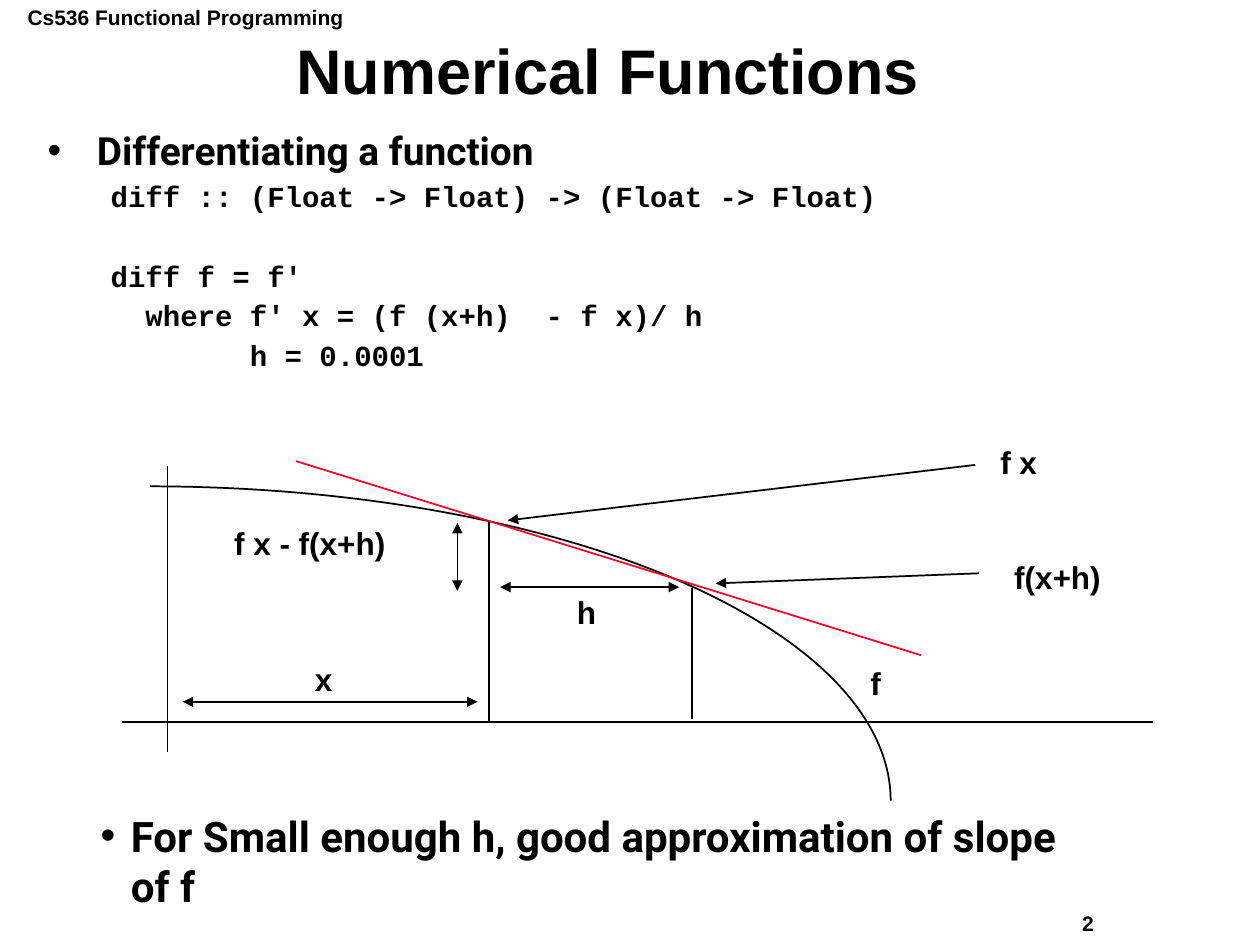
from dataclasses import dataclass
from typing import Optional

from lxml import etree
from pptx import Presentation
from pptx.dml.color import RGBColor
from pptx.enum import shapes, text
from pptx.oxml import ns
from pptx.util import Inches, Pt

BLACK = RGBColor(0x00, 0x00, 0x00)
RED = RGBColor(0xFC, 0x01, 0x28)

HEADING = {"name": "Arial", "size": Pt(36), "bold": True}
LABEL = {"name": "Arial", "size": Pt(18), "bold": True}
FOOTER = {"name": "Arial", "size": Pt(12), "bold": True}
TOPIC = {"name": "Roboto", "size": Pt(22.2), "bold": True}
CODE = {"name": "Courier New", "size": Pt(16.6), "bold": True}
REMARK = {"name": "Roboto", "size": Pt(24), "bold": True}

AXIS_Y = 5.73


@dataclass
class Label:
    words: str
    left: float
    top: float
    width: float
    height: float = 0.4
    style: Optional[dict] = None


@dataclass
class Line:
    x1: float
    y1: float
    x2: float
    y2: float
    heads: tuple = ()
    color: RGBColor = BLACK


BOTH = ("headEnd", "tailEnd")
START = ("headEnd",)

LINES = [
    Line(0.97, AXIS_Y, 9.15, AXIS_Y),
    Line(1.33, 3.7, 1.33, 5.97),
    Line(3.88, 4.14, 3.88, AXIS_Y),
    Line(5.49, 4.67, 5.49, 5.71),
    Line(3.97, 4.66, 5.39, 4.66, BOTH),
    Line(4.03, 4.13, 7.74, 3.69, START),
    Line(5.68, 4.63, 7.77, 4.55, START),
    Line(1.45, 5.57, 3.79, 5.57, BOTH),
    Line(2.35, 3.66, 7.31, 5.2, color=RED),
    Line(3.63, 4.15, 3.63, 4.69, BOTH),
]

LABELS = [
    Label("Cs536 Functional Programming", 0.12, -0.01, 2.71, 0.3, FOOTER),
    Label("2", 8.49, 7.18, 1, 0.3, FOOTER),
    Label("h", 4.48, 4.66, 0.35),
    Label("x", 2.4, 5.19, 0.34),
    Label("f", 6.81, 5.22, 0.28),
    Label("f x", 7.84, 3.47, 0.49),
    Label("f(x+h)", 7.95, 4.38, 0.89),
    Label("f x - f(x+h)", 1.76, 4.11, 1.4),
]

CODE_LINES = [
    ("diff :: (Float -> Float) -> (Float -> Float)", 6.8),
    ("diff f = f'", 29.6),
    ("  where f' x = (f (x+h)  - f x)/ h", 6.8),
    ("        h = 0.0001", 6.8),
]


def write(p, words: str, style: dict) -> None:
    r = p.add_run()
    r.text = words
    for key, value in style.items():
        setattr(r.font, key, value)
    r.font.color.rgb = BLACK


def add_box(s, left: float, top: float, width: float, height: float, wrap: bool = True):
    sp = s.shapes.add_textbox(Inches(left), Inches(top), Inches(width), Inches(height))
    sp.text_frame.word_wrap = wrap
    return sp.text_frame


def add_label(s, label: Label) -> None:
    tf = add_box(s, label.left, label.top, label.width, label.height, wrap=False)
    write(tf.paragraphs[0], label.words, label.style or LABEL)


def set_bullet(p, hang: float) -> None:
    pPr = p._p.get_or_add_pPr()
    pPr.set("marL", str(Inches(hang)))
    pPr.set("indent", str(-Inches(hang)))
    etree.SubElement(pPr, ns.qn("a:buFont"), typeface="Arial")
    etree.SubElement(pPr, ns.qn("a:buChar"), char="•")


def add_line(s, line: Line) -> None:
    ends = (Inches(v) for v in (line.x1, line.y1, line.x2, line.y2))
    sp = s.shapes.add_connector(shapes.MSO_CONNECTOR.STRAIGHT, *ends)
    sp.line.color.rgb = line.color
    sp.line.width = Pt(1)
    ln = sp.line._get_or_add_ln()
    for head in line.heads:
        etree.SubElement(ln, ns.qn(f"a:{head}"), type="triangle")
    etree.SubElement(sp._element.spPr, ns.qn("a:effectLst"))


def add_title(s) -> None:
    sp = s.shapes.title
    sp.left, sp.top, sp.width, sp.height = (Inches(v) for v in (0.31, 0.31, 9.03, 0.56))
    tf = sp.text_frame
    tf.auto_size = text.MSO_AUTO_SIZE.NONE
    tf.vertical_anchor = text.MSO_ANCHOR.MIDDLE
    p = tf.paragraphs[0]
    p.alignment = text.PP_ALIGN.CENTER
    p.line_spacing = 0.9
    write(p, "Numerical Functions", HEADING)


def add_body(s) -> None:
    tf = add_box(s, 0.28, 1.03, 9.19, 2.02)
    p = tf.paragraphs[0]
    set_bullet(p, 0.39)
    p.line_spacing = 0.8
    write(p, "Differentiating a function", TOPIC)
    for words, gap in CODE_LINES:
        p = tf.add_paragraph()
        p._p.get_or_add_pPr().set("marL", str(Inches(0.5)))
        p.line_spacing = 0.8
        p.space_before = Pt(gap)
        write(p, words, CODE)


def add_remark(s) -> None:
    p = add_box(s, 0.7, 6.38, 7.99, 0.9).paragraphs[0]
    set_bullet(p, 0.24)
    write(p, "For Small enough h, good approximation of slope of f", REMARK)


def add_curve(s) -> None:
    box = (Inches(v) for v in (-4.69, 3.86, 11.76, 4.99))
    sp = s.shapes.add_shape(shapes.MSO_SHAPE.ARC, *box)
    sp.shadow.inherit = False
    sp.fill.background()
    sp.line.color.rgb = BLACK
    sp.line.width = Pt(1)


def main() -> None:
    prs = Presentation()
    prs.slide_width, prs.slide_height = Inches(10), Inches(7.5)
    s = prs.slides.add_slide(prs.slide_layouts[5])
    add_title(s)
    add_body(s)
    add_remark(s)
    add_curve(s)
    for line in LINES:
        add_line(s, line)
    for label in LABELS:
        add_label(s, label)
    prs.save("out.pptx")


if __name__ == "__main__":
    main()
